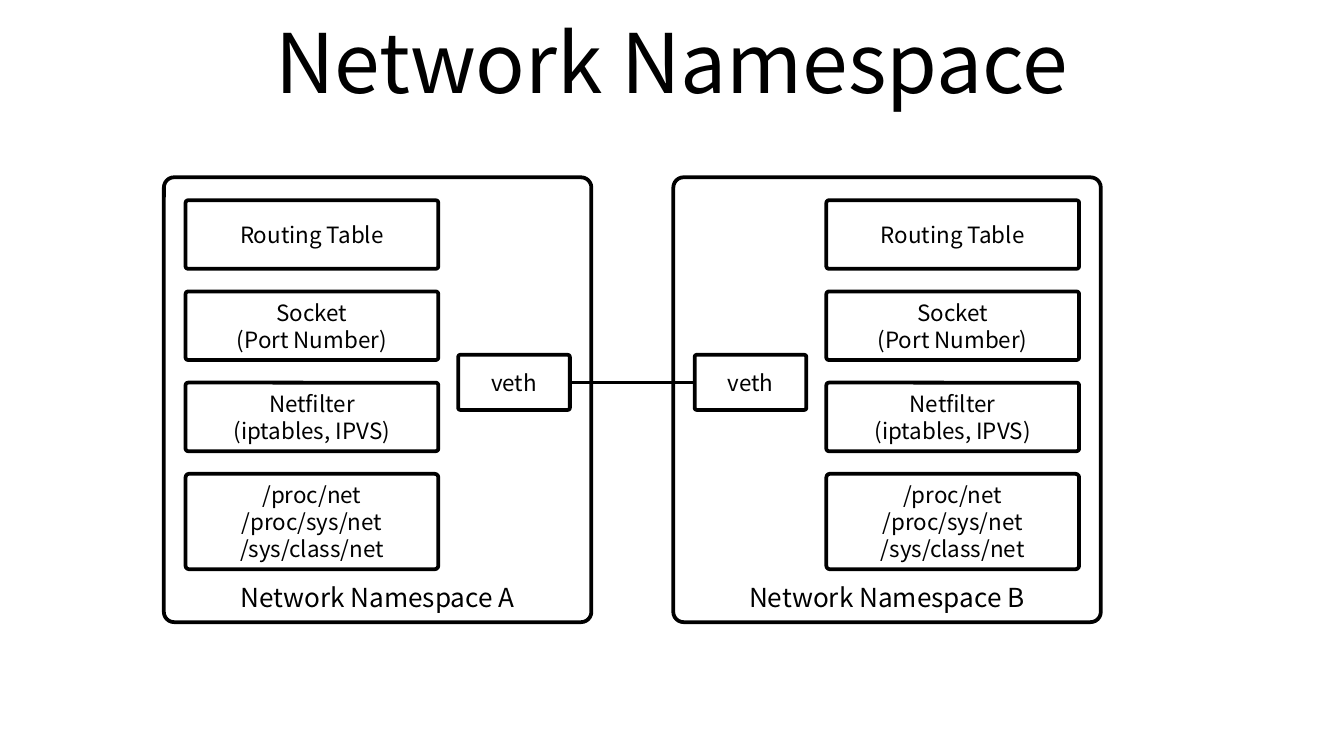
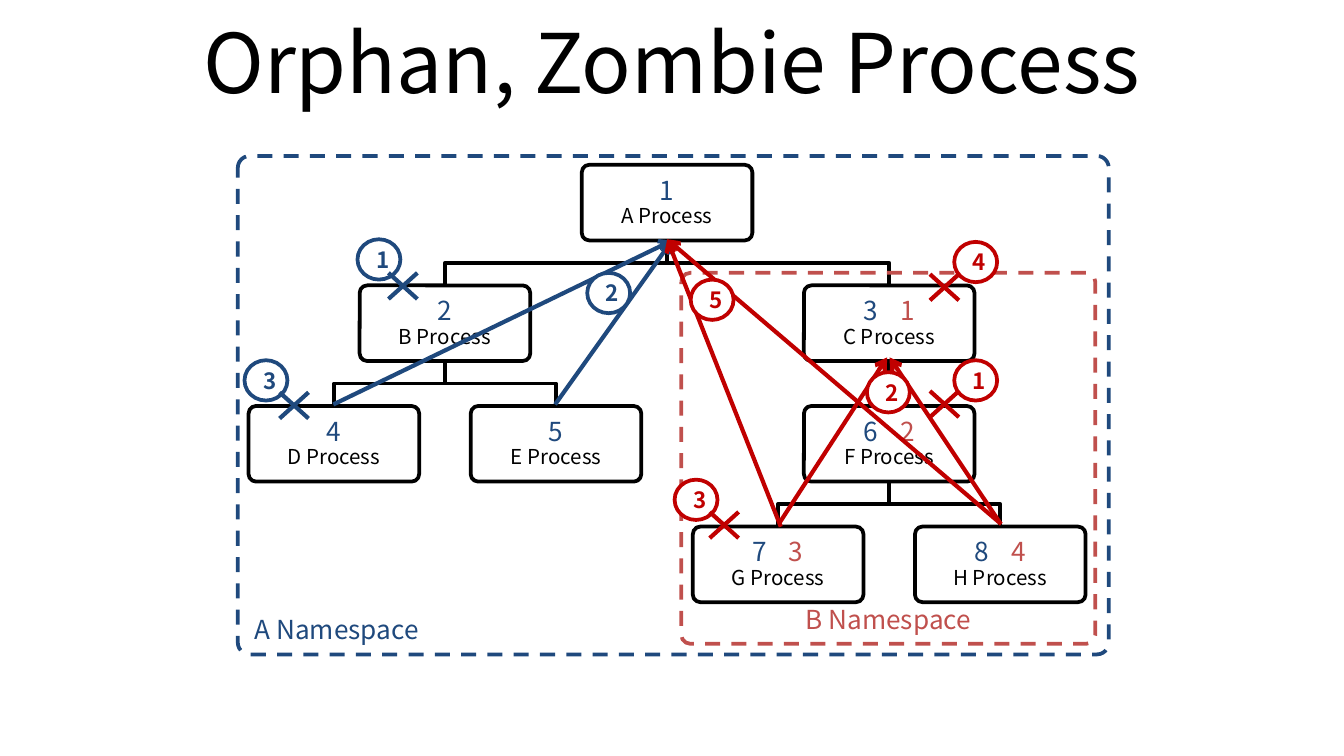
from lxml import etree
from pptx import Presentation
from pptx.dml.color import RGBColor
from pptx.enum.dml import MSO_LINE
from pptx.enum.shapes import MSO_CONNECTOR, MSO_SHAPE
from pptx.enum.text import MSO_ANCHOR, MSO_AUTO_SIZE, PP_ALIGN
from pptx.oxml.ns import qn
from pptx.util import Pt

FONT = "Noto Sans CJK KR"
BLACK = RGBColor(0x00, 0x00, 0x00)
WHITE = RGBColor(0xFF, 0xFF, 0xFF)
BLUE = RGBColor(0x1F, 0x49, 0x7D)
ROSE = RGBColor(0xC0, 0x50, 0x4D)
RED = RGBColor(0xC0, 0x00, 0x00)

ROUNDED, OVAL = MSO_SHAPE.ROUNDED_RECTANGLE, MSO_SHAPE.OVAL
STRAIGHT, DASH = MSO_CONNECTOR.STRAIGHT, MSO_LINE.DASH
LEFT, CENTER = PP_ALIGN.LEFT, PP_ALIGN.CENTER
MIDDLE, BOTTOM = MSO_ANCHOR.MIDDLE, MSO_ANCHOR.BOTTOM
TITLE_ONLY = 5

# Network namespaces: the right panel mirrors the left one.
MIRROR_SUM = 677.5
PANEL = (87.8, 95, 229, 238.3)
VETH = (245.5, 190.1, 59.8, 29.5)
RESOURCE_LEFT, RESOURCE_TOP, RESOURCE_STEP, RESOURCE_WIDTH = 99.4, 107.3, 48.85, 135.4
RESOURCES = [
    ("Routing Table", 36.7),
    ("Socket\n(Port Number)", 36.7),
    ("Netfilter\n(iptables, IPVS)", 36.7),
    ("/proc/net\n/proc/sys/net\n/sys/class/net", 51.1),
]

# Process tree: name -> parent, column, row, number in A, number in B
TREE = {
    "A": (None, 3, 0, "1", None),
    "B": ("A", 1, 1, "2", None),
    "D": ("B", 0, 2, "4", None),
    "E": ("B", 2, 2, "5", None),
    "C": ("A", 5, 1, "3", "1"),
    "F": ("C", 5, 2, "6", "2"),
    "G": ("F", 4, 3, "7", "3"),
    "H": ("F", 6, 3, "8", "4"),
}
NODE_WIDTH, NODE_HEIGHT = 91.4, 40.5
FIRST_CENTER, COLUMN_STEP = 178.9, 59.5
FIRST_TOP, ROW_STEP = 88.3, 64.6
NUMBER_GAP = 8.5

# Each stage: adoption arrows (start, end, colour), then badges (left, top, number, colour)
STAGES = [
    (
        [
            ((297.4, 216.7), (360, 128.9), BLUE),
            ((178.6, 216.7), (360, 128.9), BLUE),
            ((535.7, 280.1), (476.6, 191.5), RED),
            ((417.6, 280.1), (475.2, 191.5), RED),
        ],
        [
            (191.5, 128.2, "1", BLUE),
            (314.6, 146.2, "2", BLUE),
            (131, 193, "3", BLUE),
            (511.2, 193, "1", RED),
            (464.4, 199.4, "2", RED),
            (361.4, 257, "3", RED),
        ],
    ),
    (
        [
            ((536.4, 280.8), (357.4, 128.2), RED),
            ((418.3, 282.2), (357.4, 128.2), RED),
        ],
        [(511.2, 129.6, "4", RED), (370, 149.8, "5", RED)],
    ),
]
CROSSES = [
    (208.1, 146.2, BLUE),
    (149.8, 210.2, BLUE),
    (498.2, 209.5, RED),
    (380.2, 274.3, RED),
    (498.2, 146.9, RED),
]


def add_titled_slide(deck, title):
    slide = deck.slides.add_slide(deck.slide_layouts[TITLE_ONLY])
    box = slide.shapes.title
    box.left, box.top, box.width, box.height = Pt(36), Pt(-1.4), Pt(648), Pt(67.7)
    frame = box.text_frame
    frame.text = title
    frame.auto_size = MSO_AUTO_SIZE.NONE
    frame.vertical_anchor = MIDDLE
    frame.paragraphs[0].alignment = CENTER
    style_span(frame.paragraphs[0].runs[0], 44)
    return slide


def style_span(span, size, color=BLACK, bold=False):
    span.font.name, span.font.size = FONT, Pt(size)
    span.font.color.rgb, span.font.bold = color, bold


def add_outline(shapes, kind, place, color=BLACK, fill=None, corner=None, dash=None):
    shape = shapes.add_shape(kind, *map(Pt, place))
    shape.shadow.inherit = False
    if fill is None:
        shape.fill.background()
    else:
        shape.fill.solid()
        shape.fill.fore_color.rgb = fill
    shape.line.color.rgb, shape.line.width = color, Pt(2)
    if dash is not None:
        shape.line.dash_style = dash
    if corner is not None:
        shape.adjustments[0] = corner
    return shape


def write_text(shape, text, size, color=BLACK, anchor=MIDDLE, alignment=CENTER, bold=False):
    frame = shape.text_frame
    frame.text = text
    frame.vertical_anchor = anchor
    for paragraph in frame.paragraphs:
        paragraph.alignment = alignment
        for span in paragraph.runs:
            style_span(span, size, color, bold)


def add_line(shapes, start, end, color, width, arrow=False):
    line = shapes.add_connector(STRAIGHT, *map(Pt, (*start, *end)))
    line.line.color.rgb, line.line.width = color, Pt(width)
    if arrow:
        etree.SubElement(line.line._get_or_add_ln(), qn("a:tailEnd"), type="arrow")
    etree.SubElement(line._element.spPr, qn("a:effectLst"))


def add_namespace_panel(shapes, label, mirrored):
    def place(left, top, width, height):
        return (MIRROR_SUM - left - width if mirrored else left, top, width, height)

    panel = add_outline(shapes, ROUNDED, place(*PANEL), corner=0.024)
    write_text(panel, label, 14, anchor=BOTTOM)
    boxes = [
        (text, (RESOURCE_LEFT, RESOURCE_TOP + row * RESOURCE_STEP, RESOURCE_WIDTH, height))
        for row, (text, height) in enumerate(RESOURCES)
    ]
    for text, area in [*boxes, ("veth", VETH)]:
        box = add_outline(shapes, ROUNDED, place(*area), corner=0.037)
        write_text(box, text, 12)


def node_anchor(name):
    """Return the top centre of a process box."""
    _, column, row, _, _ = TREE[name]
    return FIRST_CENTER + column * COLUMN_STEP, FIRST_TOP + row * ROW_STEP


def add_branch(shapes, parent, child):
    parent_x, parent_top = node_anchor(parent)
    child_x, child_top = node_anchor(child)
    start, end = (parent_x, parent_top + NODE_HEIGHT), (child_x, child_top)
    if parent_x == child_x:
        add_line(shapes, start, end, BLACK, 2)
        return
    middle = (start[1] + child_top) / 2
    builder = shapes.build_freeform(Pt(start[0]), Pt(start[1]))
    corners = [(parent_x, middle), (child_x, middle), end]
    builder.add_line_segments([(Pt(x), Pt(y)) for x, y in corners], close=False)
    branch = builder.convert_to_shape()
    branch.shadow.inherit = False
    branch.fill.background()
    branch.line.color.rgb, branch.line.width = BLACK, Pt(2)


def add_process(shapes, name):
    _, _, _, outer_number, inner_number = TREE[name]
    center, top = node_anchor(name)
    place = (center - NODE_WIDTH / 2, top, NODE_WIDTH, NODE_HEIGHT)
    box = add_outline(shapes, ROUNDED, place, fill=WHITE, corner=0.1)
    write_text(box, f"{outer_number}\n{name} Process", 11)
    numbers, label = box.text_frame.paragraphs
    numbers.line_spacing = label.line_spacing = 0.9
    style_span(numbers.runs[0], 14, BLUE)
    if inner_number:
        gap, inner = numbers.add_run(), numbers.add_run()
        gap.text, inner.text = " ", inner_number
        style_span(gap, 14, BLUE)
        style_span(inner, 14, ROSE)
        # Character spacing widens the single space; it is counted in hundredths of a point.
        gap._r.get_or_add_rPr().set("spc", str(int(NUMBER_GAP * 100)))


def add_badge(shapes, left, top, number, color):
    badge = add_outline(shapes, OVAL, (left, top, 23, 21.6), color, WHITE)
    write_text(badge, number, 12, color, bold=True)
    frame = badge.text_frame
    frame.margin_left, frame.margin_right = Pt(4), Pt(0)
    frame.margin_top = frame.margin_bottom = Pt(0)


def add_cross(shapes, left, top, color):
    group = shapes.add_group_shape()
    right, bottom = left + 15.5, top + 14
    add_line(group.shapes, (left, top), (right, bottom), color, 2.25)
    add_line(group.shapes, (right, top), (left, bottom), color, 2.25)


def build_network_slide(deck):
    shapes = add_titled_slide(deck, "Network Namespace").shapes
    add_namespace_panel(shapes, "Network Namespace A", mirrored=False)
    add_namespace_panel(shapes, "Network Namespace B", mirrored=True)
    left, top, width, height = VETH
    cable_y = top + height / 2
    add_line(shapes, (MIRROR_SUM - left - width, cable_y), (left + width, cable_y), BLACK, 1.5)


def build_process_slide(deck):
    shapes = add_titled_slide(deck, "Orphan, Zombie Process").shapes
    tree = shapes.add_group_shape().shapes
    for name, (parent, *_) in TREE.items():
        if parent:
            add_branch(tree, parent, name)
        add_process(tree, name)

    for label, place, color, alignment in (
        ("A Namespace", (127.4, 83.5, 466.6, 267.1), BLUE, LEFT),
        ("B Namespace", (365, 146.2, 221.8, 198.7), ROSE, CENTER),
    ):
        border = add_outline(shapes, ROUNDED, place, color, corner=0.024, dash=DASH)
        write_text(border, label, 14, color, BOTTOM, alignment)

    for arrows, badges in STAGES:
        for start, end, color in arrows:
            add_line(shapes, start, end, color, 2.25, arrow=True)
        for badge in badges:
            add_badge(shapes, *badge)
    for cross in CROSSES:
        add_cross(shapes, *cross)


def main():
    deck = Presentation()
    deck.slide_width, deck.slide_height = Pt(720), Pt(405)
    build_network_slide(deck)
    build_process_slide(deck)
    deck.save("out.pptx")


if __name__ == "__main__":
    main()
